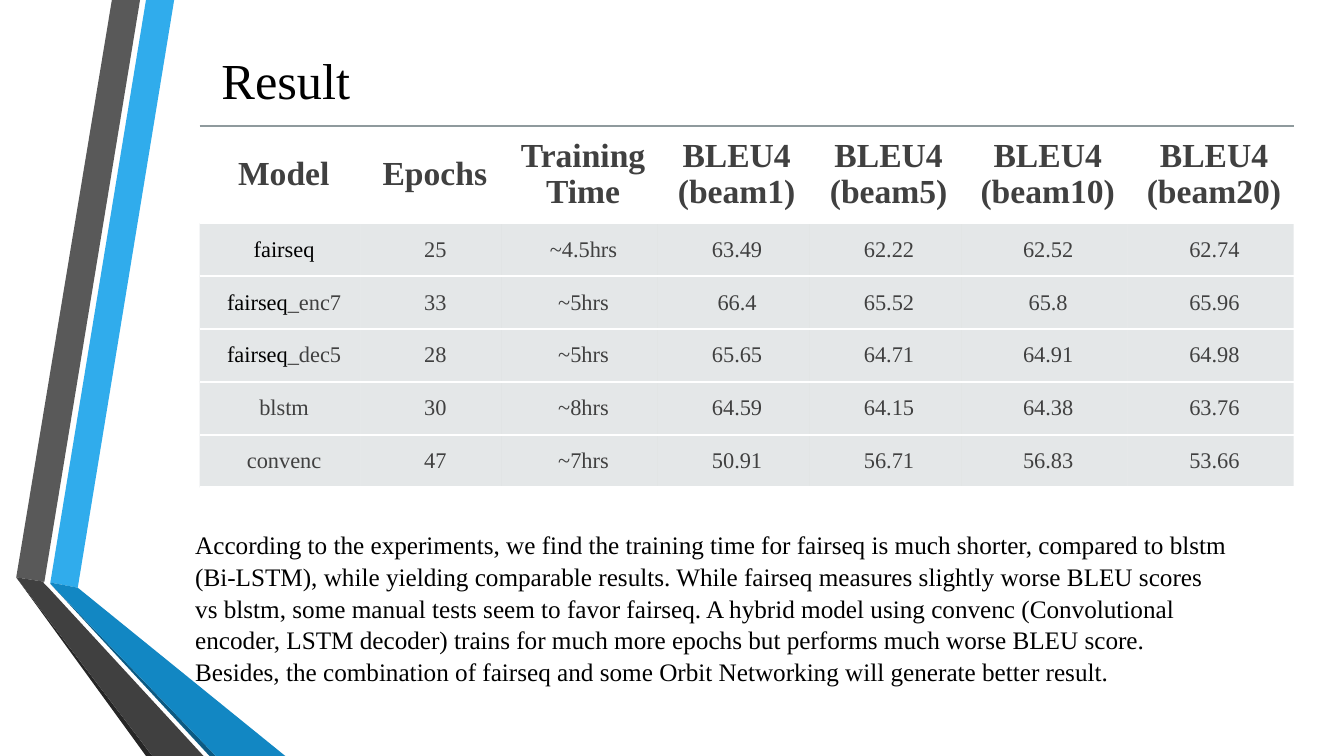
from lxml import etree
from pptx import Presentation
from pptx.dml.color import RGBColor
from pptx.enum.text import MSO_ANCHOR, PP_ALIGN
from pptx.oxml.ns import qn
from pptx.util import Cm, Pt

CENTER = PP_ALIGN.CENTER
LEFT = PP_ALIGN.LEFT
MIDDLE = MSO_ANCHOR.MIDDLE
TOP = MSO_ANCHOR.TOP
FONT = "Times New Roman"
PLAIN = "{2D5ABB26-0587-4C30-8999-92F81FD0307C}"  # table style without fills or lines
COLORS = {
    "sky": "30ACEC", "grey": "595959", "coal": "262626", "navy": "0C5A82",
    "blue": "1287C3", "slate": "404040", "black": "000000", "white": "FFFFFF",
    "rule": "8F9A9D", "band": "B4BCBE",
}

# Ribbon outlines in cm from the corner of their box
BANDS = [
    ("sky", [(0.86, 14.68), (1.55, 14.81), (3.98, 0), (3.27, 0)]),
    ("grey", [(3.12, 0), (2.41, 0), (0, 14.55), (0.71, 14.66)]),
    ("coal", [(0, 14.55), (3.27, 19.05), (3.43, 19.05)]),
    ("navy", [(0.86, 14.71), (4.87, 19.05), (5.03, 19.05)]),
    ("blue", [(0.86, 14.71), (5.03, 19.05), (6.78, 19.05), (1.55, 14.81), (0.86, 14.68)]),
    ("slate", [(4.72, 19.05), (0.81, 14.81), (0.68, 14.68), (0.71, 14.66), (0, 14.55),
               (3.43, 19.05)]),
]

HEADS = ["Model", "Epochs", "Training Time", "BLEU4 (beam1)", "BLEU4 (beam5)",
         "BLEU4 (beam10)", "BLEU4 (beam20)"]
ROWS = [
    ["fairseq", "25", "~4.5hrs", "63.49", "62.22", "62.52", "62.74"],
    ["fairseq_enc7", "33", "~5hrs", "66.4", "65.52", "65.8", "65.96"],
    ["fairseq_dec5", "28", "~5hrs", "65.65", "64.71", "64.91", "64.98"],
    ["blstm", "30", "~8hrs", "64.59", "64.15", "64.38", "63.76"],
    ["convenc", "47", "~7hrs", "50.91", "56.71", "56.83", "53.66"],
]
WIDTHS = [4.06, 3.56, 3.91, 3.83, 3.83, 4.19, 4.19]
HEAD_H = 2.4
NOTE = (
    "According to the experiments, we find the training time for fairseq is much shorter, "
    "compared to blstm (Bi-LSTM), while yielding comparable results. While fairseq measures "
    "slightly worse BLEU scores vs blstm, some manual tests seem to favor fairseq. A hybrid "
    "model using convenc (Convolutional encoder, LSTM decoder) trains for much more epochs "
    "but performs much worse BLEU score. Besides, the combination of fairseq and some Orbit "
    "Networking will generate better result."
)


def color(name):
    return RGBColor.from_string(COLORS[name])


def fade(fill, percent):
    """Make a solid fill partly transparent."""
    tint = fill.find(".//" + qn("a:srgbClr"))
    etree.SubElement(tint, qn("a:alpha"), val=str(percent * 1000))


def edge(cell, side, name, percent=100):
    """Draw one border of a cell; call for the bottom before the top."""
    line = etree.Element(qn("a:ln" + side), w=str(Pt(1.5)))
    solid = etree.SubElement(line, qn("a:solidFill"))
    etree.SubElement(solid, qn("a:srgbClr"), val=COLORS[name])
    if percent < 100:
        fade(line, percent)
    cell._tc.get_or_add_tcPr().insert(0, line)


def style(para, size, name, align=CENTER, bold=False):
    para.alignment = align
    font = para.font
    font.name, font.size, font.bold = FONT, Pt(size), bold
    font.color.rgb = color(name)


def add_bands(slide, box):
    left, top = box
    group = slide.shapes.add_group_shape()
    for name, points in BANDS:
        spots = [(Cm(left + x), Cm(top + y)) for x, y in points]
        pen = group.shapes.build_freeform(*spots[0], scale=1.0)
        pen.add_line_segments(spots[1:], close=True)
        band = pen.convert_to_shape()
        band.shadow.inherit = False
        band.fill.solid()
        band.fill.fore_color.rgb = color(name)
        band.line.fill.background()


def add_text(slide, box, text, size, align=LEFT, anchor=TOP, space=1.0):
    frame = slide.shapes.add_textbox(*map(Cm, box)).text_frame
    frame.word_wrap = True
    frame.vertical_anchor = anchor
    para = frame.paragraphs[0]
    para.text = text
    para.line_spacing = space
    style(para, size, "black", align)


def fill_cell(cell, text, head):
    pad = 0.25 if head else 0.23
    cell.margin_left = Cm(0.43)
    cell.margin_right = cell.margin_top = cell.margin_bottom = Cm(pad)
    cell.vertical_anchor = MIDDLE
    para = cell.text_frame.paragraphs[0]
    style(para, 24 if head else 16, "slate", bold=head)
    lead, mark, tail = text.partition("fairseq")
    for part in filter(None, (lead, mark, tail)):
        run = para.add_run()
        run.text = part
        if part == mark:
            run.font.color.rgb = color("black")
    if head:
        para.line_spacing = 0.96
        cell.fill.background()
    else:
        cell.fill.solid()
        cell.fill.fore_color.rgb = color("band")
        fade(cell._tc.tcPr, 35)
    edge(cell, "B", "white")
    edge(cell, "T", "rule" if head else "white", 60 if head else 100)


def add_scores(slide, box):
    grid = [HEADS] + ROWS
    frame = slide.shapes.add_table(len(grid), len(HEADS), *map(Cm, box))
    frame.element.find(".//" + qn("a:tableStyleId")).text = PLAIN
    table = frame.table
    table.horz_banding = False
    for col, width in zip(table.columns, WIDTHS):
        col.width = Cm(width)
    step = (box[3] - HEAD_H) / len(ROWS)
    for i, texts in enumerate(grid):
        table.rows[i].height = Cm(step if i else HEAD_H)
        for j, text in enumerate(texts):
            fill_cell(table.cell(i, j), text, head=i == 0)


def main():
    deck = Presentation()
    deck.slide_width, deck.slide_height = Cm(33.87), Cm(19.05)
    slide = deck.slides.add_slide(deck.slide_layouts[6])
    add_bands(slide, (0.41, 0))
    add_text(slide, (2.57, -0.1, 9.27, 4.19), "Result", 36, CENTER, MIDDLE)
    add_scores(slide, (5.03, 3.18, 27.57, 9.05))
    add_text(slide, (4.67, 13.18, 26.62, 4.11), NOTE, 18, space=1.05)
    deck.save("out.pptx")


if __name__ == "__main__":
    main()
